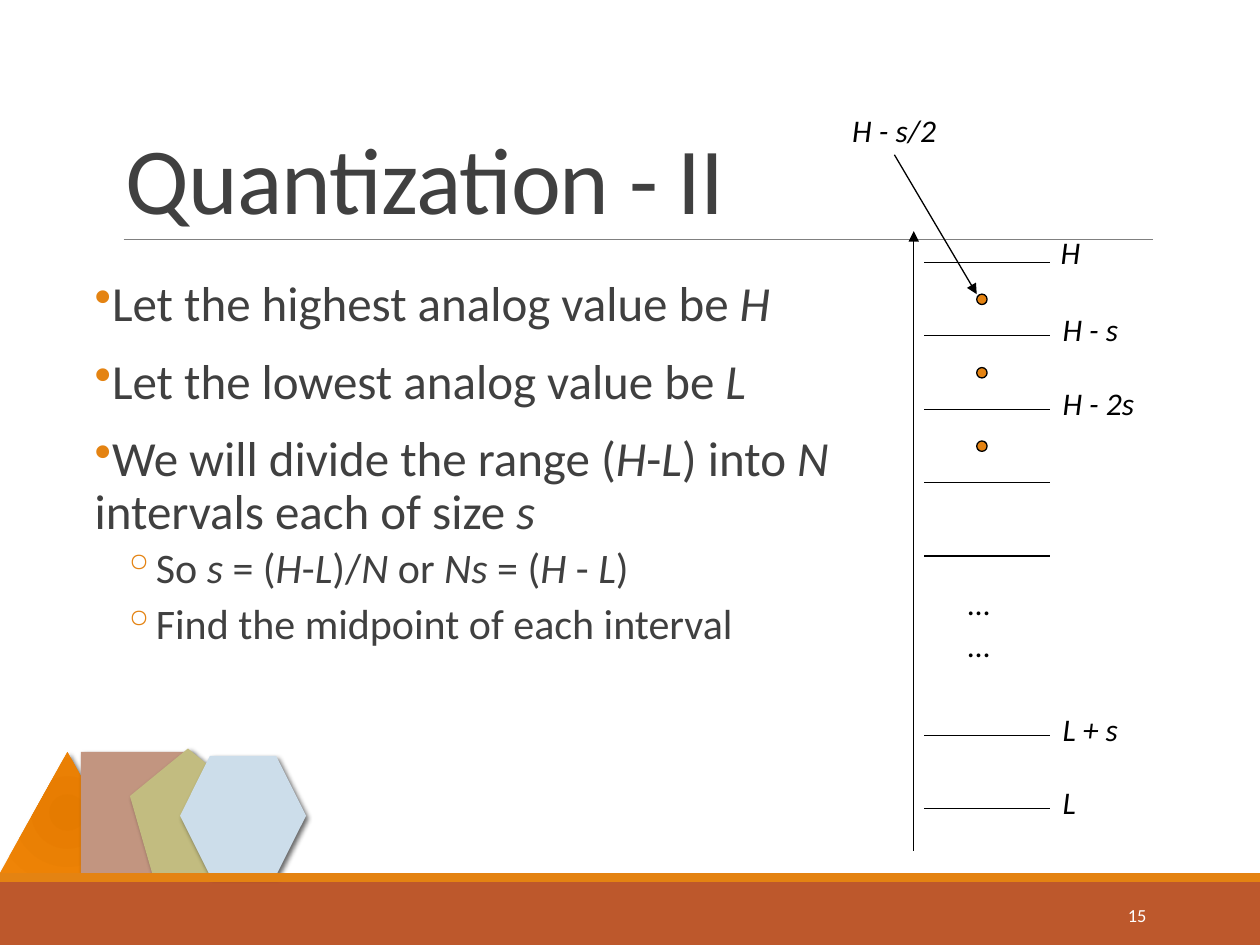
from dataclasses import dataclass

from lxml import etree
from pptx import Presentation
from pptx.dml.color import RGBColor
from pptx.enum.shapes import MSO_CONNECTOR, MSO_SHAPE
from pptx.enum.text import MSO_ANCHOR, PP_ALIGN
from pptx.oxml.ns import qn
from pptx.util import Cm, Pt

STRAIGHT = MSO_CONNECTOR.STRAIGHT
TRIANGLE, RECT = MSO_SHAPE.ISOSCELES_TRIANGLE, MSO_SHAPE.RECTANGLE
PENTAGON, HEXAGON, OVAL = MSO_SHAPE.REGULAR_PENTAGON, MSO_SHAPE.HEXAGON, MSO_SHAPE.OVAL
TOP, MIDDLE, BOTTOM = MSO_ANCHOR.TOP, MSO_ANCHOR.MIDDLE, MSO_ANCHOR.BOTTOM
RIGHT = PP_ALIGN.RIGHT


@dataclass(frozen=True)
class Theme:
    font: str = "Calibri"
    text: str = "404040"
    ink: str = "000000"
    white: str = "FFFFFF"
    rule: str = "808080"
    accent: str = "E48312"
    band: str = "BD582C"
    rose: str = "C29580"
    olive: str = "C2BC80"
    sky: str = "CCDDEA"
    glow: tuple = ("E57B00", "EF8407")
    title: float = 54
    body: float = 28
    sub: float = 24
    label: float = 18
    number: float = 10.5


T = Theme()
prs = Presentation()
prs.slide_width, prs.slide_height = Cm(25.4), Cm(19.05)
s = prs.slides.add_slide(prs.slide_layouts[6])


def add_line(x1, y1, x2, y2, color=T.ink, width=0.75, arrow=False):
    c = s.shapes.add_connector(STRAIGHT, Cm(x1), Cm(y1), Cm(x2), Cm(y2))
    c.line.color.rgb = RGBColor.from_string(color)
    c.line.width = Pt(width)
    if arrow:
        etree.SubElement(c.line._get_or_add_ln(), qn("a:tailEnd"), type="triangle")
    etree.SubElement(c._element.spPr, qn("a:effectLst"))


def add_text(x, y, w, h, paragraphs, size, color, anchor=TOP):
    tf = s.shapes.add_textbox(Cm(x), Cm(y), Cm(w), Cm(h)).text_frame
    tf.word_wrap = True
    tf.vertical_anchor = anchor
    for i, text in enumerate(paragraphs):
        p = tf.paragraphs[0] if i == 0 else tf.add_paragraph()
        for k, part in enumerate(text.split("*")):
            if part:
                r = p.add_run()
                r.text = part
                r.font.name, r.font.size = T.font, Pt(size)
                r.font.italic = k % 2 == 1
                r.font.color.rgb = RGBColor.from_string(color)
    return tf


decor = [
    (TRIANGLE, 0, 15.16, 2.72, 2.44, T.glow, True),
    (RECT, 1.63, 15.16, 2.21, 2.44, T.rose, True),
    (RECT, 0, 17.78, 25.4, 1.27, T.band, False),
    (PENTAGON, 2.62, 15.09, 2.34, 2.51, T.olive, True),
    (HEXAGON, 3.63, 15.24, 2.54, 2.41, T.sky, True),
    (RECT, 0, 17.6, 25.4, 0.18, T.accent, False),
]
for kind, x, y, w, h, fill, shaded in decor:
    sp = s.shapes.add_shape(kind, Cm(x), Cm(y), Cm(w), Cm(h))
    sp.shadow.inherit = False
    sp.line.fill.background()
    if fill == T.glow:
        sp.fill.gradient()
        for stop, color in zip(sp.fill.gradient_stops, fill):
            stop.color.rgb = RGBColor.from_string(color)
        lin = sp._element.spPr.find(".//" + qn("a:lin"))
        path = etree.Element(qn("a:path"), path="circle")
        etree.SubElement(path, qn("a:fillToRect"), {side: "100000" for side in "ltrb"})
        lin.getparent().replace(lin, path)
    else:
        sp.fill.solid()
        sp.fill.fore_color.rgb = RGBColor.from_string(fill)
    if shaded:
        effects = sp._element.spPr.find(qn("a:effectLst"))
        shadow = etree.SubElement(effects, qn("a:outerShdw"), blurRad=str(Pt(3)),
                                  dist=str(Pt(2)), dir="2700000")
        color = etree.SubElement(shadow, qn("a:srgbClr"), val=T.ink)
        etree.SubElement(color, qn("a:alpha"), val="60000")

add_line(2.49, 4.83, 23.24, 4.83, T.rule, 0.5)

tf = add_text(2.29, 0.79, 20.95, 4.04, ["Quantization - II"], T.title, T.text, BOTTOM)
p = tf.paragraphs[0]
p.line_spacing = 0.85
p.runs[0].font._element.set("spc", "-50")

points = [
    "Let the highest analog value be *H*",
    "Let the lowest analog value be *L*",
    "We will divide the range (*H*-*L*) into *N* intervals each of size *s*",
]
details = ["So *s* = (*H*-*L*)/*N* or *Ns* = (*H* - *L*)", "Find the midpoint of each interval"]
tf = add_text(1.91, 5.51, 15.14, 11.43, points + details, T.body, T.text)
tf.margin_left = tf.margin_right = 0
for i, p in enumerate(tf.paragraphs):
    if i < len(points):
        bullet, left, indent, before, after = "•", 0, 0, 12, 2
    else:
        bullet, left, indent, before, after = "◦", 1.07, -0.51, 2, 4
        p.level = 1
        for r in p.runs:
            r.font.size = Pt(T.sub)
    p.line_spacing, p.space_before, p.space_after = 0.9, Pt(before), Pt(after)
    pPr = p._p.get_or_add_pPr()
    pPr.set("marL", str(Cm(left)))
    pPr.set("indent", str(Cm(indent)))
    etree.SubElement(etree.SubElement(pPr, qn("a:buClr")), qn("a:srgbClr"), val=T.accent)
    etree.SubElement(pPr, qn("a:buChar"), char=bullet)

step = 1.48
upper = [5.29 + step * i for i in range(5)]
lower = [16.3 - step, 16.3]
for y in upper + lower:
    add_line(18.63, y, 21.17, y)
add_line(18.42, 17.15, 18.42, 4.66, arrow=True)

labels = [
    (21.13, 4.57, "*H*"),
    (21.17, upper[1] - 0.64, "*H - s*"),
    (21.17, upper[2] - 0.64, "*H - 2s*"),
    (21.17, lower[0] - 0.64, "*L + s*"),
    (21.17, lower[1] - 0.64, "*L*"),
    (19.26, 11.64, "…"),
    (19.26, 12.49, "…"),
    (16.93, 2.12, "*H - s/2*"),
]
for x, y, text in labels:
    add_text(x, y, 3, 1.27, [text], T.label, T.ink)

for i in range(3):
    dot = s.shapes.add_shape(OVAL, Cm(19.69), Cm(5.93 + step * i), Cm(0.21), Cm(0.21))
    dot.shadow.inherit = False
    dot.fill.solid()
    dot.fill.fore_color.rgb = RGBColor.from_string(T.accent)
    dot.line.color.rgb = RGBColor.from_string(T.ink)
    dot.line.width = Pt(0.75)
add_line(18.03, 3.12, 19.69, 5.93, arrow=True)

tf = add_text(20.62, 17.93, 2.74, 1.02, ["15"], T.number, T.white, MIDDLE)
tf.paragraphs[0].alignment = RIGHT

prs.save("out.pptx")
